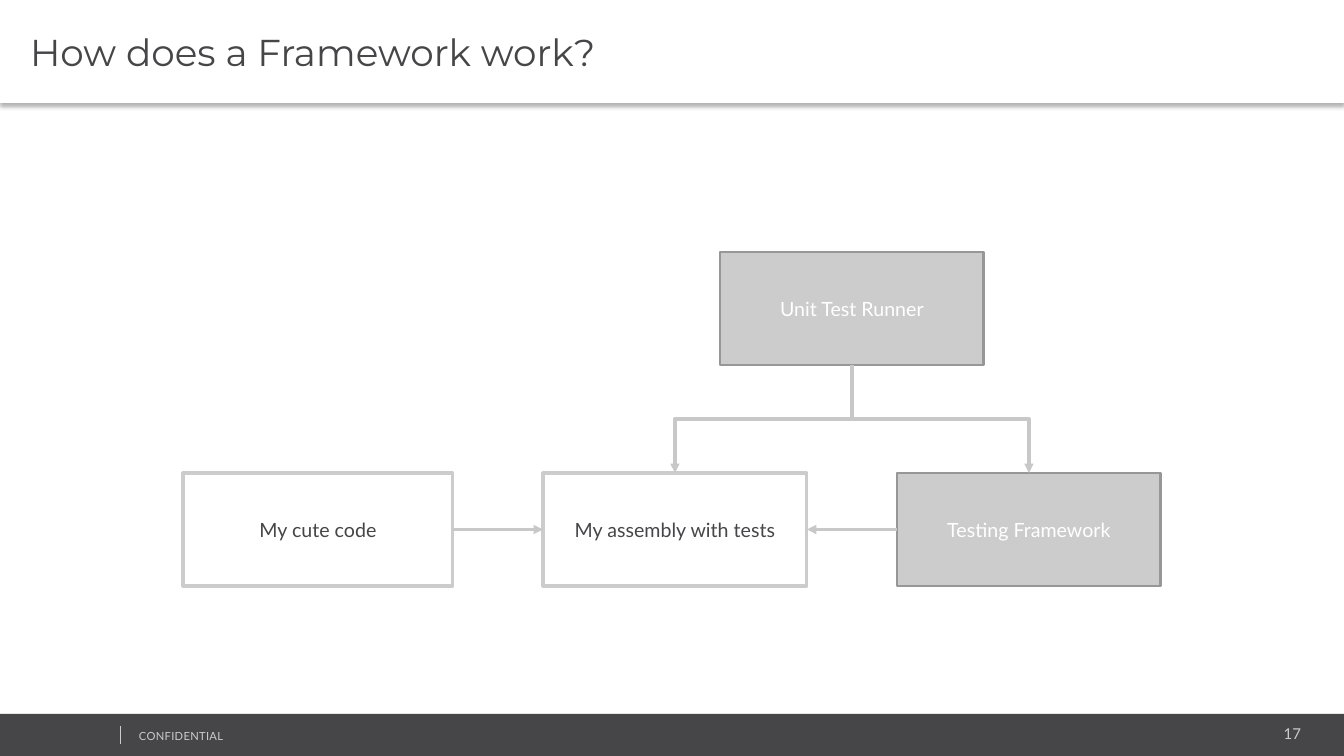
from lxml import etree
from pptx import Presentation
from pptx import util as u
from pptx.dml.color import RGBColor
from pptx.enum import shapes, text
from pptx.oxml.ns import qn

WIDTH, HEIGHT = 1344, 756
SCALE = 12192000 / WIDTH
WHITE = RGBColor(0xFF, 0xFF, 0xFF)
DARK = RGBColor(0x46, 0x45, 0x47)
LIGHT = RGBColor(0xCC, 0xCC, 0xCC)
EDGE = RGBColor(0x97, 0x97, 0x97)
ARROW = RGBColor(0xC8, 0xC8, 0xC8)
TOP, LEFT, BOTTOM, RIGHT = range(4)


def px(n):
    return u.Emu(round(n * SCALE))


def add_rect(slide, box, fill, line=None, line_pt=0):
    sp = slide.shapes.add_shape(shapes.MSO_SHAPE.RECTANGLE, *map(px, box))
    sp.shadow.inherit = False
    sp.fill.solid()
    sp.fill.fore_color.rgb = fill
    if line is None:
        sp.line.fill.background()
    else:
        sp.line.color.rgb = line
        sp.line.width = u.Pt(line_pt)
    return sp


def write(sp, words, font, size, color, align):
    tf = sp.text_frame
    tf.word_wrap = True
    tf.text = words
    p = tf.paragraphs[0]
    p.alignment = align
    r = p.runs[0]
    r.font.name, r.font.size, r.font.color.rgb = font, u.Pt(size), color
    return r


def style_line(line, color, width_pt):
    line.line.color.rgb = color
    line.line.width = u.Pt(width_pt)
    etree.SubElement(line._element.spPr, qn("a:effectLst"))


def add_header(slide, box, title):
    sp = add_rect(slide, box, WHITE)
    effects = sp._element.spPr.find(qn("a:effectLst"))
    shadow = etree.SubElement(effects, qn("a:outerShdw"), blurRad=str(u.Pt(3.1)),
                              dist=str(u.Pt(2)), dir="5400000", algn="t", rotWithShape="0")
    color = etree.SubElement(shadow, qn("a:srgbClr"), val="000000")
    etree.SubElement(color, qn("a:alpha"), val="30000")
    tf = sp.text_frame
    tf.margin_left, tf.margin_right = px(30), px(7)
    tf.margin_top = tf.margin_bottom = px(4)
    tf.vertical_anchor = text.MSO_ANCHOR.MIDDLE
    write(sp, title, "Montserrat", 26.7, DARK, text.PP_ALIGN.LEFT)


def add_footer(slide, box, label, number):
    x, y, w, h = box
    add_rect(slide, box, DARK)
    for words, place, size, align in (
            (number, (x + w - 253, y + 6, 220, 28), 10.7, text.PP_ALIGN.RIGHT),
            (label, (x + 129, y + 10, 341, 24), 8, text.PP_ALIGN.LEFT)):
        sp = slide.shapes.add_textbox(*map(px, place))
        r = write(sp, words, "Lato", size, LIGHT, align)
        if words == label:
            r._r.get_or_add_rPr().set("spc", "20")
    rule = slide.shapes.add_connector(shapes.MSO_CONNECTOR.STRAIGHT, px(x + 120),
                                      px(y + 12), px(x + 120), px(y + 30))
    style_line(rule, LIGHT, 0.25)


def add_node(slide, box, label, filled):
    fill, line, line_pt, color = (LIGHT, EDGE, 2, WHITE) if filled else (WHITE, LIGHT, 2.25, DARK)
    sp = add_rect(slide, box, fill, line, line_pt)
    sp.text_frame.vertical_anchor = text.MSO_ANCHOR.MIDDLE
    write(sp, label, "Lato", 14, color, text.PP_ALIGN.CENTER)
    return sp


def add_arrow(slide, kind, start, start_side, end, end_side):
    c = slide.shapes.add_connector(kind, 0, 0, 0, 0)
    c.begin_connect(start, start_side)
    c.end_connect(end, end_side)
    style_line(c, ARROW, 2.25)
    etree.SubElement(c.line._get_or_add_ln(), qn("a:tailEnd"), type="triangle")
    return c


def add_drop_arrow(slide, upper, lower):
    """Elbow that leaves downwards: a bent connector turned a quarter circle."""
    c = add_arrow(slide, shapes.MSO_CONNECTOR.ELBOW, upper, BOTTOM, lower, TOP)
    x1, y1, x2, y2 = c.begin_x, c.begin_y, c.end_x, c.end_y
    across, down = abs(x2 - x1), y2 - y1
    c.left = u.Emu((x1 + x2 - down) // 2)
    c.top = u.Emu((y1 + y2 - across) // 2)
    c.width, c.height = u.Emu(down), u.Emu(across)
    xfrm = c._element.spPr.find(qn("a:xfrm"))
    to_right = x2 > x1
    xfrm.set("rot", "16200000" if to_right else "5400000")
    xfrm.set("flipH", "1" if to_right else "0")


def add_diagram(slide, box):
    x, y, w, h = box
    node_w, node_h, gap = 264, 113, 90
    code_w = w - 2 * (node_w + gap)
    row_y = y + h - node_h
    tests_x = x + code_w + gap
    framework_x = tests_x + node_w + gap
    runner_x = (tests_x + framework_x) // 2

    code = add_node(slide, (x, row_y, code_w, node_h), "My cute code", False)
    tests = add_node(slide, (tests_x, row_y, node_w, node_h), "My assembly with tests", False)
    framework = add_node(slide, (framework_x, row_y, node_w, node_h), "Testing Framework", True)
    runner = add_node(slide, (runner_x, y, node_w, node_h), "Unit Test Runner", True)

    straight = shapes.MSO_CONNECTOR.STRAIGHT
    add_arrow(slide, straight, code, RIGHT, tests, LEFT)
    add_arrow(slide, straight, framework, LEFT, tests, RIGHT)
    for lower in (tests, framework):
        add_drop_arrow(slide, runner, lower)


def main():
    prs = Presentation()
    prs.slide_width, prs.slide_height = px(WIDTH), px(HEIGHT)
    slide = prs.slides.add_slide(prs.slide_layouts[6])
    add_footer(slide, (0, 714, WIDTH, 42), "CONFIDENTIAL", "17")
    add_header(slide, (0, 0, WIDTH, 103), "How does a Framework work?")
    add_diagram(slide, (183, 252, 978, 334))
    prs.save("out.pptx")


if __name__ == "__main__":
    main()
